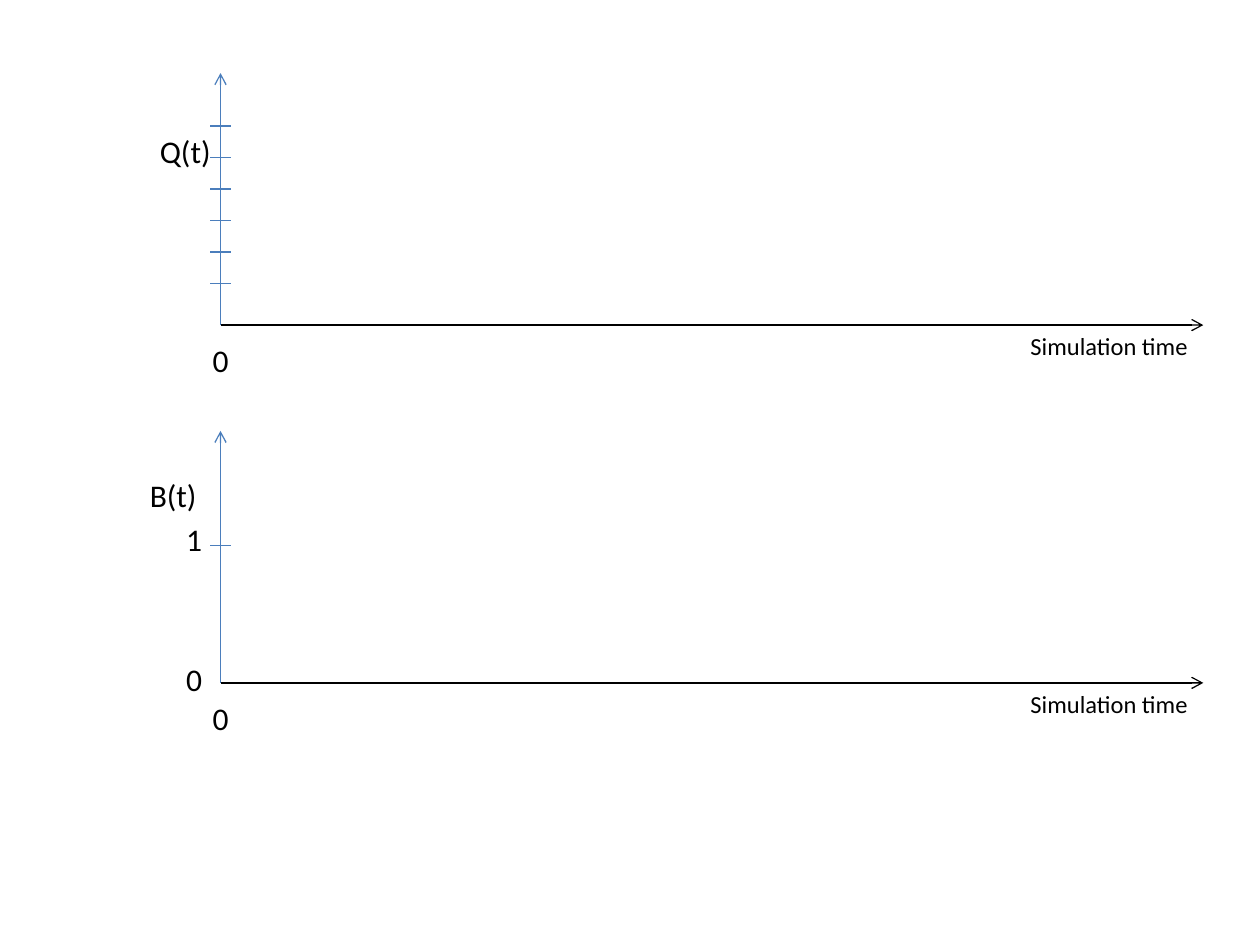
from dataclasses import dataclass

from lxml import etree
from pptx import Presentation
from pptx.dml.color import RGBColor
from pptx.enum.shapes import MSO_CONNECTOR
from pptx.enum.text import MSO_AUTO_SIZE
from pptx.oxml.ns import qn
from pptx.shapes.group import GroupShape
from pptx.util import Inches, Pt

STRAIGHT = MSO_CONNECTOR.STRAIGHT
FIT_SHAPE = MSO_AUTO_SIZE.SHAPE_TO_FIT_TEXT
BLACK = RGBColor(0x00, 0x00, 0x00)
BLUE = RGBColor(0x4B, 0x7E, 0xBC)
FONT = "Calibri"
BLANK_LAYOUT = 6

# Axis geometry in inches, shared by both plots
ORIGIN_X = 1.75
TIME_AXIS_LENGTH = 7.8
VALUE_AXIS_LENGTH = 2.0
TICK_HALF = 0.08
QUEUE_STEP = 0.25
QUEUE_TICKS = 6


@dataclass(frozen=True)
class Label:
    text: str
    left: float
    rise: float  # distance of the box top above the time axis
    width: float
    height: float = 0.4
    size: float = 18
    gap: float = 0  # points between paragraphs


@dataclass(frozen=True)
class Plot:
    baseline: float
    ticks: tuple[float, ...]  # heights above the time axis
    labels: tuple[Label, ...]


SHARED_LABELS = (
    Label("Simulation time", 8.08, 0, 1.46, height=0.34, size=14),
    Label("0", 1.59, -0.08, 0.33),
)
PLOTS = (
    Plot(
        baseline=2.58,
        ticks=tuple(0.33 + QUEUE_STEP * i for i in range(QUEUE_TICKS)),
        labels=(Label("Q(t)", 1.17, 1.58, 0.61),),
    ),
    Plot(
        baseline=5.42,
        ticks=(1.09,),
        labels=(
            Label("B(t)", 1.09, 1.69, 0.58),
            Label("1\n0", 1.38, 1.34, 0.33, height=1.51, gap=58.5),
        ),
    ),
)


def add_line(group: GroupShape, start: tuple[float, float], end: tuple[float, float],
             color: RGBColor, arrow: bool = False) -> None:
    connector = group.shapes.add_connector(
        STRAIGHT, *(Inches(value) for value in (*start, *end)))
    connector.line.color.rgb = color
    connector.line.width = Pt(0.75)
    if arrow:
        etree.SubElement(connector.line._get_or_add_ln(), qn("a:tailEnd"), type="arrow")
    etree.SubElement(connector._element.spPr, qn("a:effectLst"))


def add_text(group: GroupShape, text: str, *, left: float, top: float, width: float,
             height: float, size: float, gap: float = 0,
             color: RGBColor = BLACK) -> None:
    box = group.shapes.add_textbox(
        *(Inches(value) for value in (left, top, width, height)))
    frame = box.text_frame
    frame.word_wrap = False
    frame.auto_size = FIT_SHAPE
    frame.text = text
    for index, paragraph in enumerate(frame.paragraphs):
        paragraph.space_before = Pt(gap if index else 0)
        font = paragraph.runs[0].font
        font.name, font.size = FONT, Pt(size)
        font.color.rgb = color


def draw_plot(group: GroupShape, plot: Plot) -> None:
    base = plot.baseline
    origin = (ORIGIN_X, base)
    # Axes
    add_line(group, origin, (ORIGIN_X + TIME_AXIS_LENGTH, base), BLACK, arrow=True)
    add_line(group, origin, (ORIGIN_X, base - VALUE_AXIS_LENGTH), BLUE, arrow=True)
    # Tick marks
    for height in plot.ticks:
        add_line(group, (ORIGIN_X - TICK_HALF, base - height),
                 (ORIGIN_X + TICK_HALF, base - height), BLUE)
    # Labels
    for label in SHARED_LABELS + plot.labels:
        add_text(group, label.text, left=label.left, top=base - label.rise,
                 width=label.width, height=label.height, size=label.size,
                 gap=label.gap)


presentation = Presentation()
presentation.slide_width, presentation.slide_height = Inches(10), Inches(7.5)
slide = presentation.slides.add_slide(presentation.slide_layouts[BLANK_LAYOUT])
for plot in PLOTS:
    draw_plot(slide.shapes.add_group_shape(), plot)
presentation.save("out.pptx")
